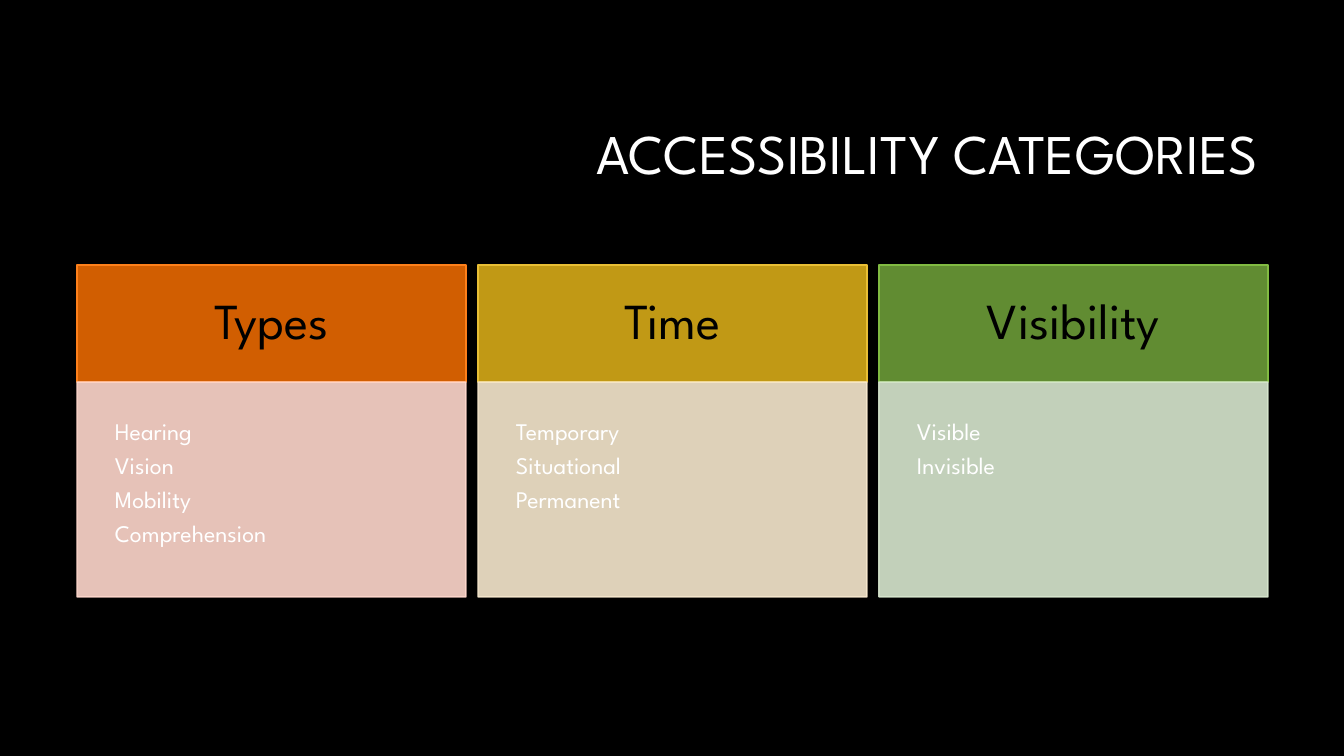
import pptx
import pptx.dml.color
import pptx.enum.shapes
import pptx.enum.text
import pptx.oxml.ns
import pptx.util
from lxml import etree

EMU_PER_PX = 914400 / 100.8
COLOURS = {
    "background": "000000", "title": "FFFFFF", "heading": "000000", "item": "FFFFFF",
    "orange": "D15E01", "orange edge": "FE801A", "orange tint": "FFD8CD",
    "gold": "C19915", "gold edge": "E9BF35", "gold tint": "F7E8CE",
    "green": "618C32", "green edge": "81BB42", "green tint": "D8E7CF",
}
CATEGORIES = [
    ("Types", "orange", ["Hearing", "Vision", "Mobility", "Comprehension"]),
    ("Time", "gold", ["Temporary", "Situational", "Permanent"]),
    ("Visibility", "green", ["Visible", "Invisible"]),
]
CARD_LEFT, CARD_TOP, CARD_WIDTH, CARD_PITCH = 77, 265, 389, 401
HEADING_HEIGHT, BODY_HEIGHT = 117, 215
ALIGN = pptx.enum.text.PP_ALIGN
ANCHOR = pptx.enum.text.MSO_ANCHOR


def px(length):
    return pptx.util.Emu(round(length * EMU_PER_PX))


def colour(name):
    return pptx.dml.color.RGBColor.from_string(COLOURS[name])


class Page:
    font = "League Spartan"

    def __init__(self, deck):
        self.slide = deck.slides.add_slide(deck.slide_layouts[6])
        fill = self.slide.background.fill
        fill.solid()
        fill.fore_color.rgb = colour("background")

    def set_text(self, shape, lines, size, ink, align, anchor, inset=None, space_after=0):
        frame = shape.text_frame
        frame.word_wrap = True
        frame.vertical_anchor = anchor
        if inset is not None:
            frame.margin_left = frame.margin_right = px(inset)
            frame.margin_top = frame.margin_bottom = px(inset)
        frame.text = "\n".join(lines)
        for paragraph in frame.paragraphs:
            paragraph.alignment = align
            paragraph.line_spacing = 0.9
            paragraph.space_after = pptx.util.Pt(space_after)
            for span in paragraph.runs:
                span.font.name = self.font
                span.font.size = pptx.util.Pt(size)
                span.font.color.rgb = colour(ink)

    def title(self, text, left, top, width, height):
        box = self.slide.shapes.add_textbox(px(left), px(top), px(width), px(height))
        self.set_text(box, [text], 40, "title", ALIGN.RIGHT, ANCHOR.MIDDLE)

    def panel(self, left, top, width, height, fill, edge, opacity=100):
        shape = self.slide.shapes.add_shape(
            pptx.enum.shapes.MSO_SHAPE.RECTANGLE, px(left), px(top), px(width), px(height))
        shape.shadow.inherit = False
        shape.fill.solid()
        shape.fill.fore_color.rgb = colour(fill)
        shape.line.color.rgb = colour(edge)
        shape.line.width = pptx.util.Pt(1)
        if opacity < 100:
            for value in shape.element.spPr.iter(pptx.oxml.ns.qn("a:srgbClr")):
                alpha = etree.SubElement(value, pptx.oxml.ns.qn("a:alpha"))
                alpha.set("val", str(opacity * 1000))
        return shape

    def card(self, left, heading, hue, items):
        """Draw a coloured heading with its translucent list below."""
        top = self.panel(left, CARD_TOP, CARD_WIDTH, HEADING_HEIGHT, hue, f"{hue} edge")
        self.set_text(top, [heading], 36, "heading", ALIGN.CENTER, ANCHOR.MIDDLE, inset=31)
        tint = f"{hue} tint"
        body = self.panel(left, CARD_TOP + HEADING_HEIGHT, CARD_WIDTH, BODY_HEIGHT,
                          tint, tint, opacity=90)
        self.set_text(body, items, 17, "item", ALIGN.LEFT, ANCHOR.TOP, inset=38, space_after=6)


def main():
    deck = pptx.Presentation()
    deck.slide_width, deck.slide_height = px(1344), px(756)
    page = Page(deck)
    page.title("ACCESSIBILITY CATEGORIES", 0, 85, 1268, 142)
    for index, category in enumerate(CATEGORIES):
        page.card(CARD_LEFT + index * CARD_PITCH, *category)
    deck.save("out.pptx")


if __name__ == "__main__":
    main()
